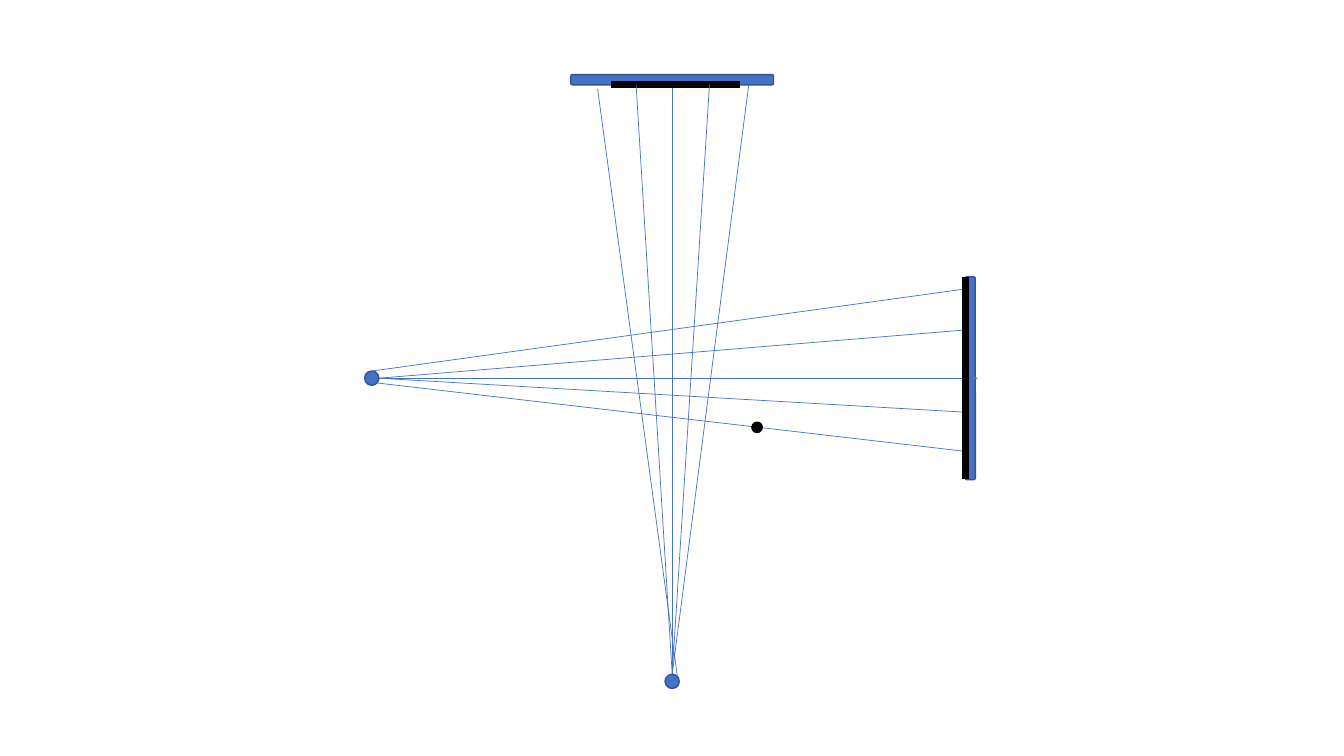
from lxml.etree import SubElement
from pptx import Presentation
from pptx.dml.color import RGBColor
from pptx.enum.shapes import MSO_CONNECTOR as CONN, MSO_SHAPE as SHAPE
from pptx.oxml.ns import qn
from pptx.util import Cm, Pt

BLUE, EDGE, BLACK = "4472C4", "325491", "000000"
CENTER_X, CENTER_Y = 16.94, 9.53
SOURCE_X, SOURCE_Y = 9.37, 17.17
SIDE_RAYS = [
    ((SOURCE_X, 9.35), (24.26, 7.29)),
    ((9.5, 9.65), (24.38, 11.38)),
    ((9.55, CENTER_Y), (24.38, 10.39)),
    ((9.55, CENTER_Y), (24.38, 8.31)),
]
TOP_RAYS = [((17.07, 17.04), (15.06, 2.24))] + [
    ((CENTER_X, 16.99), (x, 2.13)) for x in (16.03, 17.88, 18.87)
]


def color(value):
    """Return the colour for a hex string."""
    return RGBColor.from_string(value)


def add_centered(s, kind, x, y, w, h, fill=BLUE, line=EDGE, rotation=0):
    """Add a filled preset shape around the centre x, y."""
    sp = s.shapes.add_shape(kind, Cm(x - w / 2), Cm(y - h / 2), Cm(w), Cm(h))
    sp.shadow.inherit = False
    sp.rotation = rotation
    sp.fill.solid()
    sp.fill.fore_color.rgb = color(fill)
    sp.line.color.rgb = color(line)
    sp.line.width = Pt(1)
    return sp


def add_detector(s, x, y, rotation=0):
    """Add a thin rounded detector bar."""
    return add_centered(s, SHAPE.ROUNDED_RECTANGLE, x, y, 5.11, 0.26,
                        rotation=rotation)


def add_dot(s, x, y, size=0.36, fill=BLUE, line=EDGE):
    """Add a round dot around the centre x, y."""
    return add_centered(s, SHAPE.OVAL, x, y, size, size, fill, line)


def add_line(s, start, end, line=BLUE, width=0.5, arrow=False):
    """Add a straight line, with an arrowhead at its end if asked."""
    points = [Cm(v) for v in (*start, *end)]
    cxn = s.shapes.add_connector(CONN.STRAIGHT, *points)
    cxn.line.color.rgb = color(line)
    cxn.line.width = Pt(width)
    if arrow:
        SubElement(cxn.line._get_or_add_ln(), qn("a:tailEnd"), type="triangle")
    SubElement(cxn._element.spPr, qn("a:effectLst"))
    return cxn


def add_rays(s, rays):
    """Add one thin line for each pair of points."""
    for start, end in rays:
        add_line(s, start, end)


def main():
    """Build the slide with two crossed beams and save it."""
    prs = Presentation()
    prs.slide_width, prs.slide_height = Cm(33.87), Cm(19.05)
    s = prs.slides.add_slide(prs.slide_layouts[6])

    add_detector(s, 24.45, CENTER_Y, rotation=270)
    top_axis = add_line(s, (CENTER_X, SOURCE_Y), (CENTER_X, 1.88), arrow=True)
    add_line(s, (9.32, CENTER_Y), (24.64, CENTER_Y), arrow=True)
    top_axis.end_connect(add_detector(s, CENTER_X, 2.01), 0)
    add_dot(s, SOURCE_X, CENTER_Y)
    add_dot(s, CENTER_X, SOURCE_Y)

    add_rays(s, SIDE_RAYS)
    add_line(s, (24.33, 6.99), (24.33, 12.07), BLACK, 4.5)
    add_dot(s, 19.08, 10.77, 0.26, BLACK, BLACK)
    add_line(s, (15.39, 2.13), (18.64, 2.13), BLACK, 4.5)
    add_rays(s, TOP_RAYS)

    prs.save("out.pptx")


if __name__ == "__main__":
    main()
